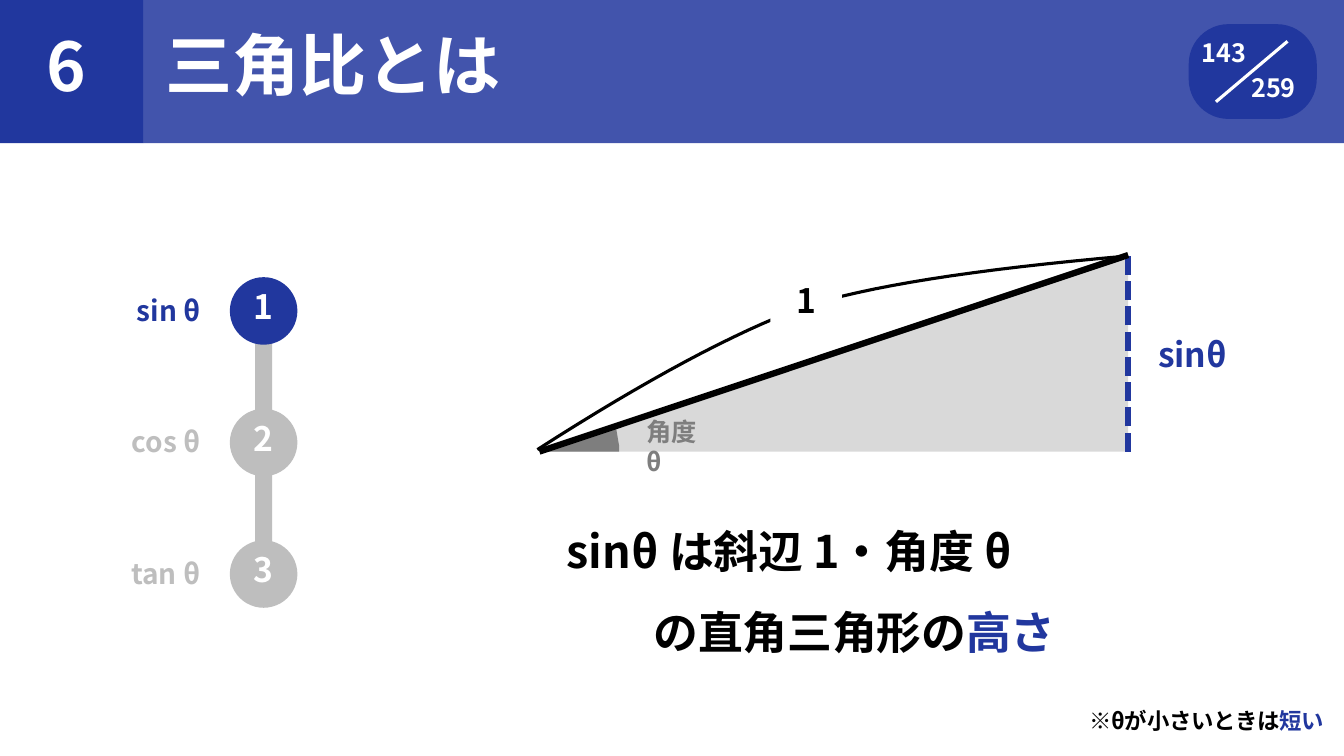
from lxml import etree
from pptx import Presentation
from pptx.dml.color import RGBColor
from pptx.enum.dml import MSO_LINE
from pptx.enum.shapes import MSO_CONNECTOR, MSO_SHAPE
from pptx.enum.text import PP_ALIGN
from pptx.oxml.ns import qn
from pptx.util import Inches, Pt

# Content
FONT = "Noto Sans CJK JP"
COLORS = {"navy": "21379E", "white": "FFFFFF", "black": "000000", "silver": "BEBEBE",
          "pale": "D9D9D9", "gray": "7E7E7E"}
CHAPTER, TITLE = "6", "三角比とは"
PAGE, PAGES = "143", "259"
STEPS = [("sin θ", "navy"), ("cos θ", "silver"), ("tan θ", "silver")]
HYPOTENUSE, ANGLE, HEIGHT = "1", "角度 θ", "sinθ"
STATEMENT = [
    [("sinθ", "black", 0), (" は斜辺 ", "black", -10), ("1", "black", 0),
     ("・角度 ", "black", -10), ("θ", "black", 0)],
    [("の直角三角形の", "black", -10), ("高さ", "navy", -30)],
]
NOTE = [("※θが小さいときは", "black", -20), ("短い", "navy", -40)]

# Geometry in inches
SLIDE_W, SLIDE_H, BAND_H = 13.33, 7.5, 1.42
STEP_TOP, STEP_GAP, STEP_LEFT, DIAMETER = 2.75, 1.305, 2.28, 0.67
VERTEX, FOOT, APEX = (5.35, 4.48), (11.19, 4.48), (11.19, 2.53)
WEDGE = [(5.36, 4.48), (6.14, 4.48), (6.14, 4.42), (6.11, 4.24)]
ARC = [((5.33, 4.46), (6.95, 3.42), (7.96, 3.05)),
       ((7.96, 3.05), (8.89, 2.74), (11.18, 2.54))]

prs = Presentation()
prs.slide_width, prs.slide_height = Inches(SLIDE_W), Inches(SLIDE_H)
slide = prs.slides.add_slide(prs.slide_layouts[6])
shapes = slide.shapes


def rgb(color):
    return RGBColor.from_string(COLORS[color])


def paint(shape, color):
    shape.shadow.inherit = False
    shape.fill.solid()
    shape.fill.fore_color.rgb = rgb(color)
    shape.line.fill.background()
    return shape


def block(kind, left, top, width, height, color):
    return paint(shapes.add_shape(kind, *map(Inches, (left, top, width, height))), color)


def outline(points, close=True):
    corners = [(Inches(x), Inches(y)) for x, y in points]
    builder = shapes.build_freeform(*corners[0])
    builder.add_line_segments(corners[1:], close=close)
    return builder.convert_to_shape()


def segment(start, end, color, weight):
    line = shapes.add_connector(MSO_CONNECTOR.STRAIGHT, *map(Inches, start + end))
    line.line.color.rgb, line.line.width = rgb(color), Pt(weight)
    etree.SubElement(line._element.spPr, qn("a:effectLst"))
    return line


def write(paragraph, text, size, color, spacing=0):
    run = paragraph.add_run()
    run.text = text
    font = run.font
    font.name, font.size, font.bold, font.color.rgb = FONT, Pt(size), True, rgb(color)
    props = run._r.get_or_add_rPr()
    props.set("spc", str(spacing))
    etree.SubElement(props, qn("a:ea")).set("typeface", FONT)


def text_frame(left, top, width, height, inset=0.01):
    frame = shapes.add_textbox(*map(Inches, (left, top, width, height))).text_frame
    frame.word_wrap = True
    frame.margin_left = frame.margin_right = frame.margin_bottom = 0
    frame.margin_top = Inches(inset)
    return frame


def label(left, top, width, height, text, size, color, spacing=0, align=PP_ALIGN.LEFT):
    paragraph = text_frame(left, top, width, height).paragraphs[0]
    paragraph.alignment, paragraph.space_before = align, Pt(1)
    write(paragraph, text, size, color, spacing)


# Header band
block(MSO_SHAPE.RECTANGLE, 0, 0, BAND_H, BAND_H, "navy")
band = block(MSO_SHAPE.RECTANGLE, BAND_H, 0, SLIDE_W - BAND_H, BAND_H, "navy")
tint = band._element.spPr.find(qn("a:solidFill"))[0]
etree.SubElement(tint, qn("a:alpha")).set("val", "85000")
label(0.46, 0.23, 0.69, 0.83, CHAPTER, 48, "white", -50)
label(1.64, 0.22, 5, 0.83, TITLE, 48, "white", -10)

# Page badge
badge = block(MSO_SHAPE.ROUNDED_RECTANGLE, 11.79, 0.24, 1.27, 0.94, "navy")
badge.adjustments[0] = 0.42
segment((12.06, 1.01), (12.77, 0.41), "white", 2.25)
pages = text_frame(11.92, 0.31, 0.93, 0.72, inset=0.06)
current, total = pages.paragraphs[0], pages.add_paragraph()
current.space_before, total.space_before = Pt(4.3), Pt(3.3)
total.alignment = PP_ALIGN.RIGHT
write(current, PAGE, 18, "white", -20)
write(total, PAGES, 18, "white", -20)

# Step list
block(MSO_SHAPE.RECTANGLE, 2.53, STEP_TOP + DIAMETER / 2, 0.17, 2 * STEP_GAP, "silver")
for index, (name, color) in enumerate(STEPS):
    top = STEP_TOP + index * STEP_GAP
    block(MSO_SHAPE.OVAL, STEP_LEFT, top, DIAMETER, DIAMETER, color)
    label(STEP_LEFT, top + 0.08, DIAMETER, 0.43, str(index + 1), 24, "white",
          align=PP_ALIGN.CENTER)
    label(0.99, top + 0.15, 1, 0.36, name, 20, color, align=PP_ALIGN.RIGHT)

# Triangle
paint(outline([VERTEX, FOOT, APEX]), "pale")
segment(FOOT, APEX, "navy", 4.5).line.dash_style = MSO_LINE.SQUARE_DOT
paint(outline(WEDGE), "gray")
segment(VERTEX, APEX, "black", 4.5)

# Arc over the hypotenuse
curve = [ARC[0][0]]
for start, control, end in ARC:
    for t in (n / 16 for n in range(1, 17)):
        curve.append(tuple((1 - t) ** 2 * a + 2 * t * (1 - t) * b + t ** 2 * c
                           for a, b, c in zip(start, control, end)))
arc = outline(curve, close=False)
arc.shadow.inherit = False
arc.fill.background()
arc.line.color.rgb, arc.line.width = rgb("black"), Pt(2.25)

# Triangle labels
block(MSO_SHAPE.RECTANGLE, 7.64, 2.67, 0.71, 0.71, "white")
label(7.64, 2.77, 0.71, 0.43, HYPOTENUSE, 24, "black", align=PP_ALIGN.CENTER)
label(11.49, 3.3, 0.9, 0.43, HEIGHT, 24, "navy", -20)
label(6.41, 4.12, 0.6, 0.33, ANGLE, 18, "gray")

# Statement and note
summary = text_frame(5.61, 4.92, 7.52, 2.38)
statement = summary.paragraphs[0]
statement.line_spacing, statement.space_before = 1.5, Pt(0.9)
hanging = statement._p.get_or_add_pPr()
hanging.set("marL", str(Inches(0.87)))
hanging.set("indent", str(Inches(-0.86)))
for row, parts in enumerate(STATEMENT):
    if row:
        statement.add_line_break()
    for text, color, spacing in parts:
        write(statement, text, 32, color, spacing)
note = summary.add_paragraph()
note.alignment, note.space_before = PP_ALIGN.RIGHT, Pt(35.1)
for text, color, spacing in NOTE:
    write(note, text, 16, color, spacing)

prs.save("out.pptx")
